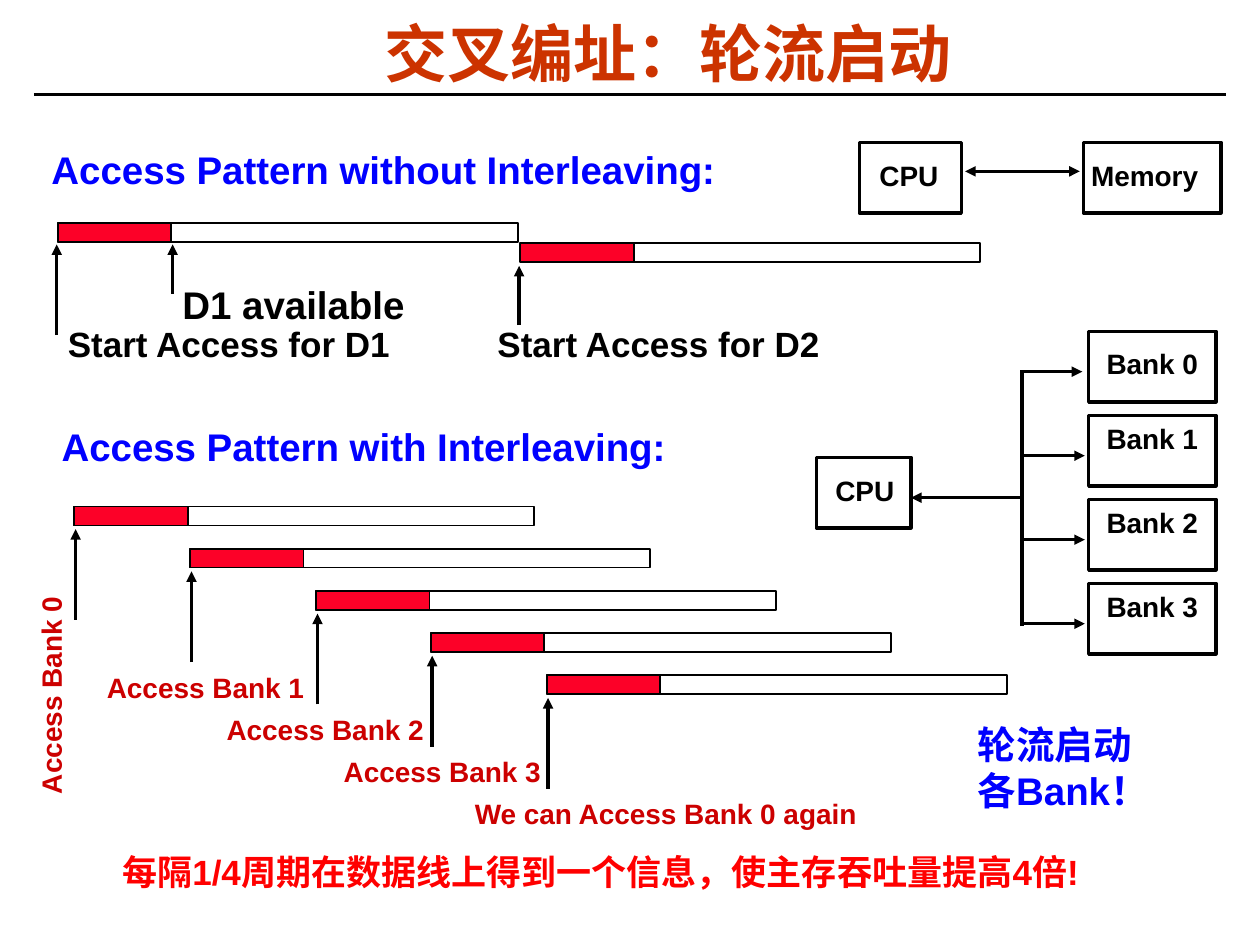
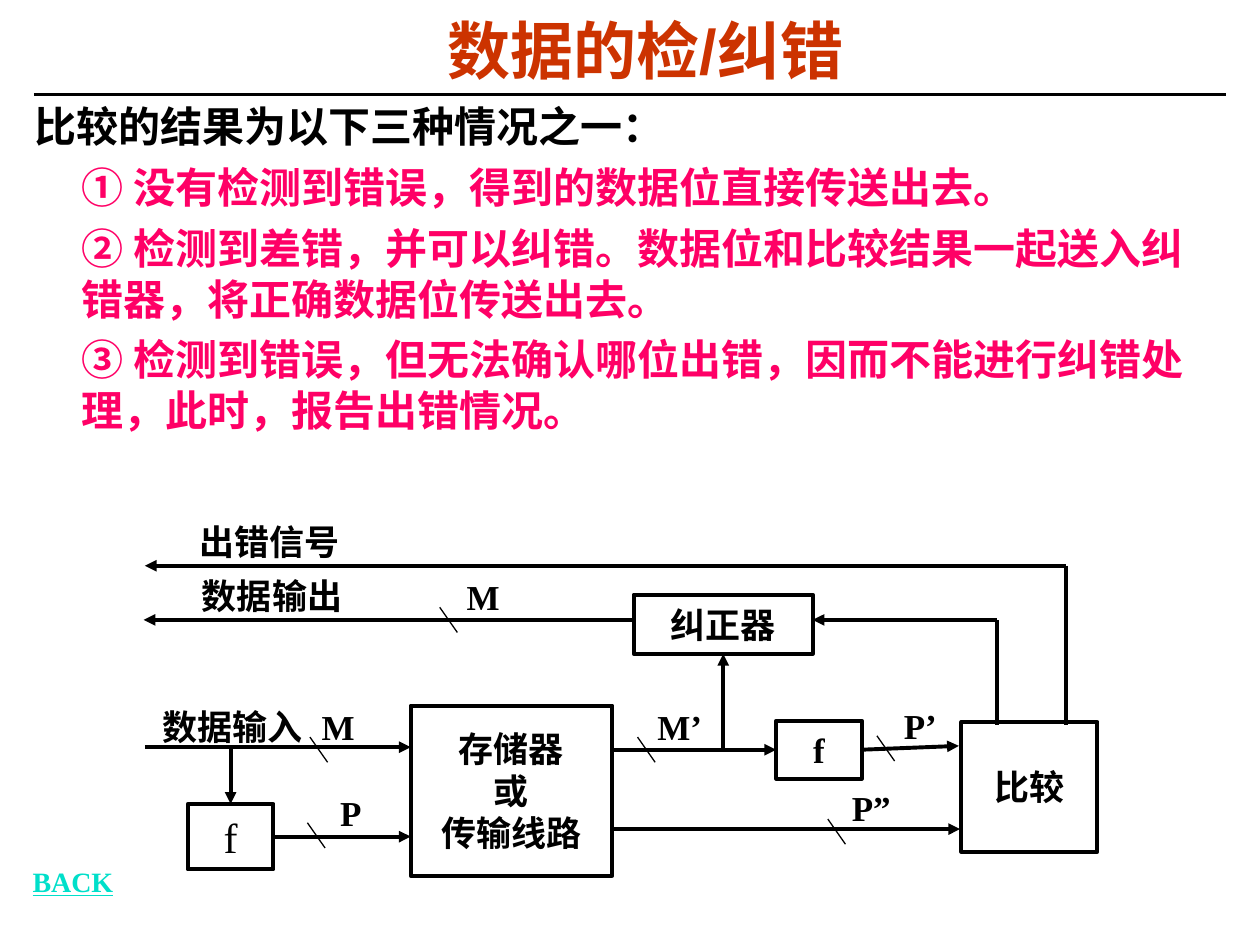
"""Build two slides on interleaved memory access and on data error checking."""
from lxml import etree
from pptx import Presentation
from pptx import util as u
from pptx.dml.color import RGBColor
from pptx.enum import shapes, text
from pptx.oxml.ns import qn

rgb = RGBColor.from_string
BLACK, BLUE, RED, RUST, DARK_RED, PINK = "000000", "0000FF", "FF0000", "CC3300", "CC0000", "FF0066"
BAR_RED, TEAL = "FC0128", "00DFCA"
LEFT, CENTER = text.PP_ALIGN.LEFT, text.PP_ALIGN.CENTER
TOP, MIDDLE = text.MSO_ANCHOR.TOP, text.MSO_ANCHOR.MIDDLE
PAD = (0.1, 0.05, 0.1, 0.05)
NONE = (0, 0, 0, 0)
PH_PAD = (0.07, 0.03, 0.07, 0.03)


def box(s, at, lines=(), size=16, color=BLACK, font="Arial", bold=True, align=LEFT,
        anchor=TOP, pad=PAD, wrap=True, edge=0, fill=None, sp=None):
    at = [u.Inches(v) for v in at]
    if sp is not None:
        sp.left, sp.top, sp.width, sp.height = at
    elif edge:
        sp = s.shapes.add_shape(shapes.MSO_SHAPE.RECTANGLE, *at)
        sp.shadow.inherit = False
        sp.line.color.rgb = rgb(BLACK)
        sp.line.width = u.Pt(edge)
        if fill:
            sp.fill.solid()
            sp.fill.fore_color.rgb = rgb(fill)
        else:
            sp.fill.background()
    else:
        sp = s.shapes.add_textbox(*at)
    tf = sp.text_frame
    tf.word_wrap = wrap
    tf.auto_size = text.MSO_AUTO_SIZE.NONE
    tf.vertical_anchor = anchor
    tf.margin_left, tf.margin_top, tf.margin_right, tf.margin_bottom = [u.Inches(v) for v in pad]
    for i, line_text in enumerate(lines):
        p = tf.add_paragraph() if i else tf.paragraphs[0]
        p.alignment = align
        r = p.add_run()
        r.text = line_text
        r.font.name, r.font.size, r.font.bold = font, u.Pt(size), bold
        r.font.color.rgb = rgb(color)
    return sp


def line(s, x1, y1, x2, y2, width=2.0, ends="tail", begin=None, end=None):
    c = s.shapes.add_connector(shapes.MSO_CONNECTOR.STRAIGHT, *[u.Inches(v) for v in (x1, y1, x2, y2)])
    if begin:
        c.begin_connect(*begin)
    if end:
        c.end_connect(*end)
    c.line.color.rgb = rgb(BLACK)
    c.line.width = u.Pt(width)
    spPr = c._element.spPr
    for name in ends.split():
        etree.SubElement(spPr.find(qn("a:ln")), qn(f"a:{name}End"), type="triangle")
    etree.SubElement(spPr, qn("a:effectLst"))
    return c


prs = Presentation()
prs.slide_width, prs.slide_height = u.Inches(10), u.Inches(7.5)

slides = []
for layout, title, at in [
    (5, "交叉编址：轮流启动", (1.06, 0.17, 8.48, 0.59)),
    (1, "数据的检/纠错", (0.31, 0.14, 9.63, 0.58)),
]:
    s = prs.slides.add_slide(prs.slide_layouts[layout])
    line(s, 0.27, 0.75, 9.73, 0.75, 1.5, "")
    sp = box(s, at, [title], 36, RUST, align=CENTER, anchor=TOP, pad=PH_PAD, sp=s.shapes.title)
    sp.text_frame.paragraphs[0].line_spacing = 0.87
    slides.append(s)

s = slides[0]
for at, label, size, color in [
    ((0.31, 1.11, 5.49, 0.46), "Access Pattern without Interleaving:", 22, BLUE),
    ((0.39, 3.31, 5.01, 0.46), "Access Pattern with Interleaving:", 22, BLUE),
    ((0.44, 2.51, 2.76, 0.43), "Start Access for D1", 20, BLACK),
    ((3.85, 2.51, 2.76, 0.43), "Start Access for D2", 20, BLACK),
    ((1.35, 2.18, 1.97, 0.46), "D1 available", 22, BLACK),
]:
    box(s, at, [label], size, color, wrap=False)

for at, label, inset in [
    ((6.82, 1.13, 0.81, 0.56), "CPU", 0.16),
    ((8.6, 1.13, 1.09, 0.56), "Memory", 0.06),
    ((6.48, 3.63, 0.75, 0.56), "CPU", 0.15),
]:
    box(s, at, [label], pad=(inset, 0, 0, 0.03), anchor=MIDDLE, edge=2)
line(s, 7.66, 1.36, 8.57, 1.36, ends="head tail")

for x, bottom, top in [(0.45, 2.66, 1.94), (4.12, 2.58, 2.11), (1.37, 2.33, 1.94)]:
    line(s, x, bottom, x, top)

access_bars = [(x, 4.02 + 0.335 * i) for i, x in enumerate([0.59, 1.51, 2.51, 3.42, 4.34])]
for x, y in [(0.46, 1.77), (4.13, 1.93)] + access_bars:
    box(s, (x, y, 0.9, 0.15), edge=1, fill=BAR_RED)
    box(s, (x, y, 3.65, 0.15), edge=1)
for x, y in access_bars:
    line(s, x + 0.01, y + 0.9, x + 0.01, y + 0.18)

sp = box(s, (-0.56, 5.22, 1.96, 0.4), ["Access Bank 0"], color=DARK_RED, wrap=False)
sp.rotation = 270
for i, (x, w, label) in enumerate([
    (0.75, 1.96, "Access Bank 1"),
    (1.7, 1.96, "Access Bank 2"),
    (2.63, 1.96, "Access Bank 3"),
    (3.67, 3.63, "We can Access Bank 0 again"),
]):
    box(s, (x, 5.27 + i / 3, w, 0.4), [label], color=DARK_RED, wrap=False)

for i in range(4):
    y = 2.63 + i * 2 / 3
    box(s, (8.64, y, 1.01, 0.56), [f"Bank {i}"], align=CENTER,
        pad=(0, 0.05 if i else 0.12, 0, 0), edge=2)
    x = 8.12 if i else 8.1
    line(s, x, y + 0.32, x + 0.49, y + 0.32)
line(s, 8.11, 4.97, 8.11, 2.94, ends="")
line(s, 8.12, 3.95, 7.23, 3.95)

box(s, (0.97, 6.75, 8.2, 0.33), ["每隔1/4周期在数据线上得到一个信息，使主存吞吐量提高4倍!"], 20, RED, pad=NONE)
box(s, (7.76, 5.72, 1.52, 0.73), ["轮流启动各Bank！"], 22, BLUE, pad=NONE)

s = slides[1]
sp = box(s, (0.2, 0.77, 9.52, 3.15), [
    "比较的结果为以下三种情况之一：",
    "① 没有检测到错误，得到的数据位直接传送出去。",
    "② 检测到差错，并可以纠错。数据位和比较结果一起送入纠错器，将正确数据位传送出去。",
    "③ 检测到错误，但无法确认哪位出错，因而不能进行纠错处理，此时，报告出错情况。",
], 24, PINK, pad=PH_PAD, sp=s.placeholders[1])
for i, p in enumerate(sp.text_frame.paragraphs):
    p.space_before = u.Pt(6 if i else 0)
    pPr = p._p.get_or_add_pPr()
    pPr.set("marL", str(u.Inches(0.38 if i else 0)))
    pPr.set("indent", "0")
    etree.SubElement(pPr, qn("a:buNone"))
sp.text_frame.paragraphs[0].runs[0].font.color.rgb = rgb(BLACK)

sp = box(s, (0.16, 6.81, 0.89, 0.37), ["BACK"], color=TEAL, font="Times New Roman")
sp.text_frame.paragraphs[0].runs[0].font.underline = True

blocks = []
for at, lines, size, bold in [
    ((3.26, 5.6, 1.6, 1.35), ["存储器", "或", "传输线路"], 20, True),
    ((1.49, 6.38, 0.68, 0.52), ["f"], 24, False),
    ((6.16, 5.72, 0.68, 0.46), ["f"], 20, True),
    ((7.63, 5.73, 1.08, 1.03), ["比较"], 20, True),
    ((5.03, 4.72, 1.42, 0.47), ["纠正器"], 20, True),
]:
    blocks.append(box(s, at, lines, size, font="Times New Roman", bold=bold, align=CENTER,
                      anchor=MIDDLE, pad=NONE, edge=2.25))
memory, f_in, f_out, compare, corrector = blocks

for ends_at, begin, end in [
    ((1.15, 5.93, 3.26, 5.93), None, None),
    ((1.83, 5.93, 1.83, 6.38), None, (f_in, 0)),
    ((2.17, 6.64, 3.26, 6.64), (f_in, 3), None),
    ((4.86, 5.95, 6.16, 5.95), None, (f_out, 1)),
    ((4.87, 6.58, 7.62, 6.58), None, None),
    ((6.84, 5.95, 7.61, 5.92), (f_out, 3), None),
    ((5.74, 5.95, 5.74, 5.19), None, (corrector, 2)),
    ((7.91, 4.92, 6.45, 4.92), None, None),
    ((5.03, 4.92, 1.14, 4.92), None, None),
    ((8.46, 4.49, 1.15, 4.49), None, None),
]:
    line(s, *ends_at, width=2.25, begin=begin, end=end)
line(s, 7.91, 5.75, 7.91, 4.92, 2.25, "")
line(s, 8.46, 4.49, 8.46, 5.75, 2.25, "")

for x, y in [(2.46, 5.85), (2.44, 6.53), (5.06, 5.85), (6.57, 6.5), (6.96, 5.84), (3.49, 4.82)]:
    line(s, x, y, x + 0.14, y + 0.2, 0.75, "")

for x, y, w, label in [
    (2.43, 5.6, 0.51, "M"),
    (2.53, 6.28, 0.51, "P"),
    (5.14, 5.6, 0.51, "M’"),
    (6.66, 6.24, 0.51, "P”"),
    (7.05, 5.59, 0.51, "P’"),
    (3.58, 4.57, 0.51, "M"),
    (1.41, 4.13, 1.46, "出错信号"),
    (1.43, 4.56, 1.46, "数据输出"),
    (1.17, 5.6, 1.35, "数据输入"),
]:
    box(s, (x, y, w, 0.33), [label], 20, font="Times New Roman", align=CENTER, anchor=MIDDLE, pad=NONE)

prs.save("out.pptx")
